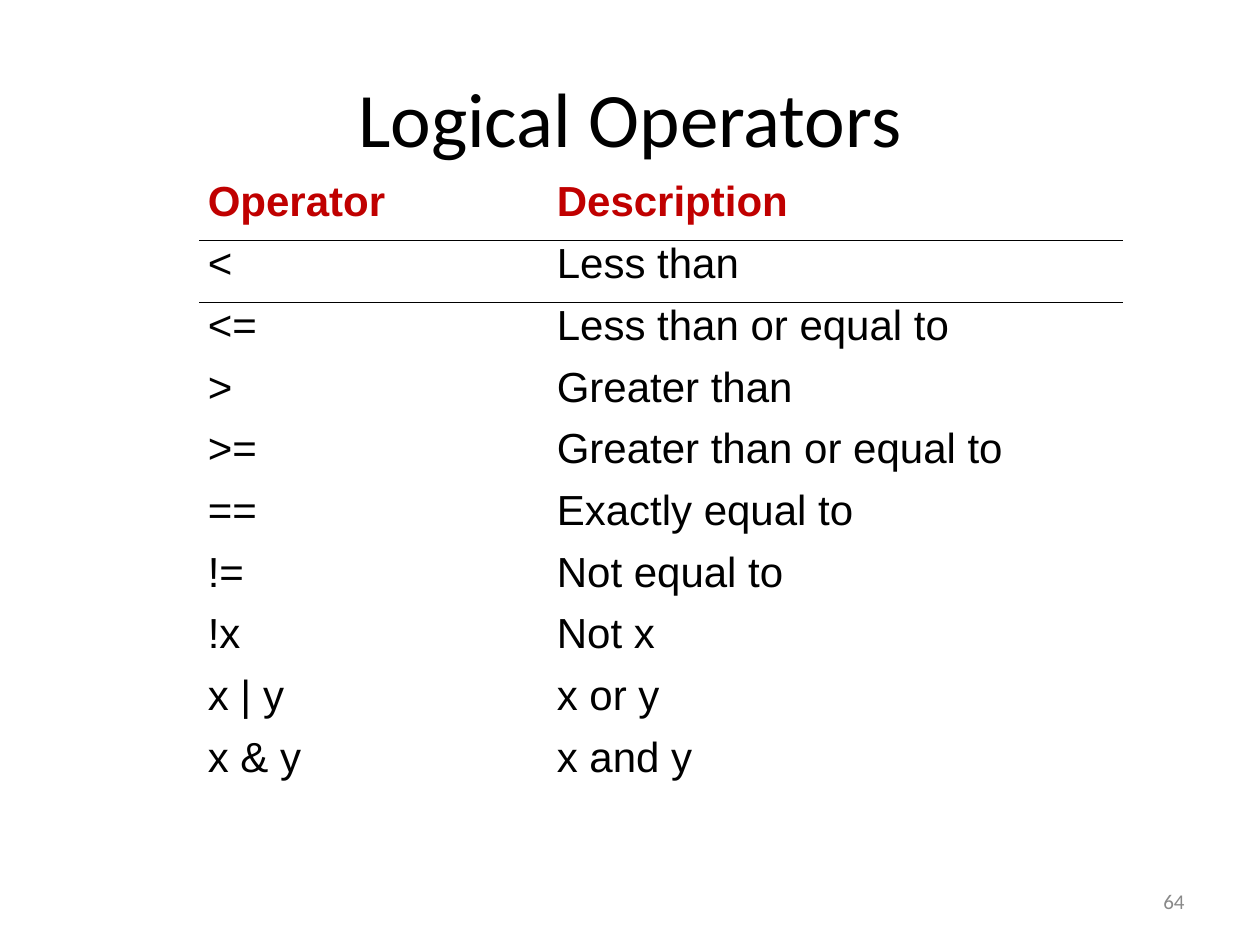
from lxml.etree import SubElement
from pptx import Presentation
from pptx.dml.color import RGBColor
from pptx.enum.text import MSO_ANCHOR as Anchor, PP_ALIGN as Align
from pptx.oxml.ns import qn
from pptx.util import Inches, Pt

BLACK = RGBColor(0x00, 0x00, 0x00)
RED = RGBColor(0xC0, 0x00, 0x00)
GRAY = RGBColor(0x89, 0x89, 0x89)

TITLE = {"name": "Calibri", "size": Pt(44)}
HEADER = {"name": "Arial", "size": Pt(24), "bold": True}
BODY = {"name": "Arial", "size": Pt(24), "bold": False}
NUMBER = {"name": "Calibri", "size": Pt(12)}

NO_STYLE = "{2D5ABB26-0587-4C30-8999-92F81FD0307C}"
COLUMNS = (2.77, 4.56)
ROW_HEIGHT = 0.49
RULED_ROWS = (0, 1)
OPERATORS = [
    ("Operator", "Description"),
    ("<", "Less than"),
    ("<=", "Less than or equal to"),
    (">", "Greater than"),
    (">=", "Greater than or equal to"),
    ("==", "Exactly equal to"),
    ("!=", "Not equal to"),
    ("!x", "Not x"),
    ("x | y", "x or y"),
    ("x & y", "x and y"),
]


def write(tf, text, font, color, align=Align.LEFT):
    p = tf.paragraphs[0]
    p.alignment = align
    r = p.add_run()
    r.text = text
    for name, value in font.items():
        setattr(r.font, name, value)
    r.font.color.rgb = color


def place(sp, left, top, width, height):
    sp.left, sp.top = Inches(left), Inches(top)
    sp.width, sp.height = Inches(width), Inches(height)


def add_title(s, text):
    sp = s.shapes.title
    place(sp, 0.5, 0.3, 9, 1.25)
    sp.text_frame.vertical_anchor = Anchor.MIDDLE
    write(sp.text_frame, text, TITLE, BLACK, Align.CENTER)


def rule_below(cell):
    # Borders come before the fill in the cell properties
    tc_pr = cell._tc.get_or_add_tcPr()
    line = SubElement(tc_pr, qn("a:lnB"), w=str(Pt(1)))
    fill = SubElement(line, qn("a:solidFill"))
    SubElement(fill, qn("a:srgbClr"), val=str(BLACK))
    tc_pr.insert(0, line)


def add_operator_table(s, left, top):
    frame = s.shapes.add_table(
        len(OPERATORS), len(COLUMNS), Inches(left), Inches(top),
        Inches(sum(COLUMNS)), Inches(ROW_HEIGHT * len(OPERATORS)))
    table = frame.table
    table.horz_banding = False
    table._tbl.tblPr.find(qn("a:tableStyleId")).text = NO_STYLE
    for column, width in zip(table.columns, COLUMNS):
        column.width = Inches(width)
    for i, texts in enumerate(OPERATORS):
        table.rows[i].height = Inches(ROW_HEIGHT)
        font, color = (HEADER, RED) if i == 0 else (BODY, BLACK)
        for cell, text in zip(table.rows[i].cells, texts):
            cell.margin_left = cell.margin_right = Inches(0.07)
            cell.margin_top = cell.margin_bottom = 0
            cell.fill.background()
            write(cell.text_frame, text, font, color)
            if i in RULED_ROWS:
                rule_below(cell)


def add_slide_number(s, text):
    sp = s.shapes.add_textbox(Inches(7.17), Inches(6.95), Inches(2.33), Inches(0.4))
    tf = sp.text_frame
    tf.word_wrap = True
    tf.vertical_anchor = Anchor.MIDDLE
    write(tf, text, NUMBER, GRAY, Align.RIGHT)


def main():
    prs = Presentation()
    prs.slide_width, prs.slide_height = Inches(10), Inches(7.5)
    s = prs.slides.add_slide(prs.slide_layouts[5])
    add_title(s, "Logical Operators")
    add_operator_table(s, 1.58, 1.42)
    add_slide_number(s, "64")
    prs.save("out.pptx")


if __name__ == "__main__":
    main()
